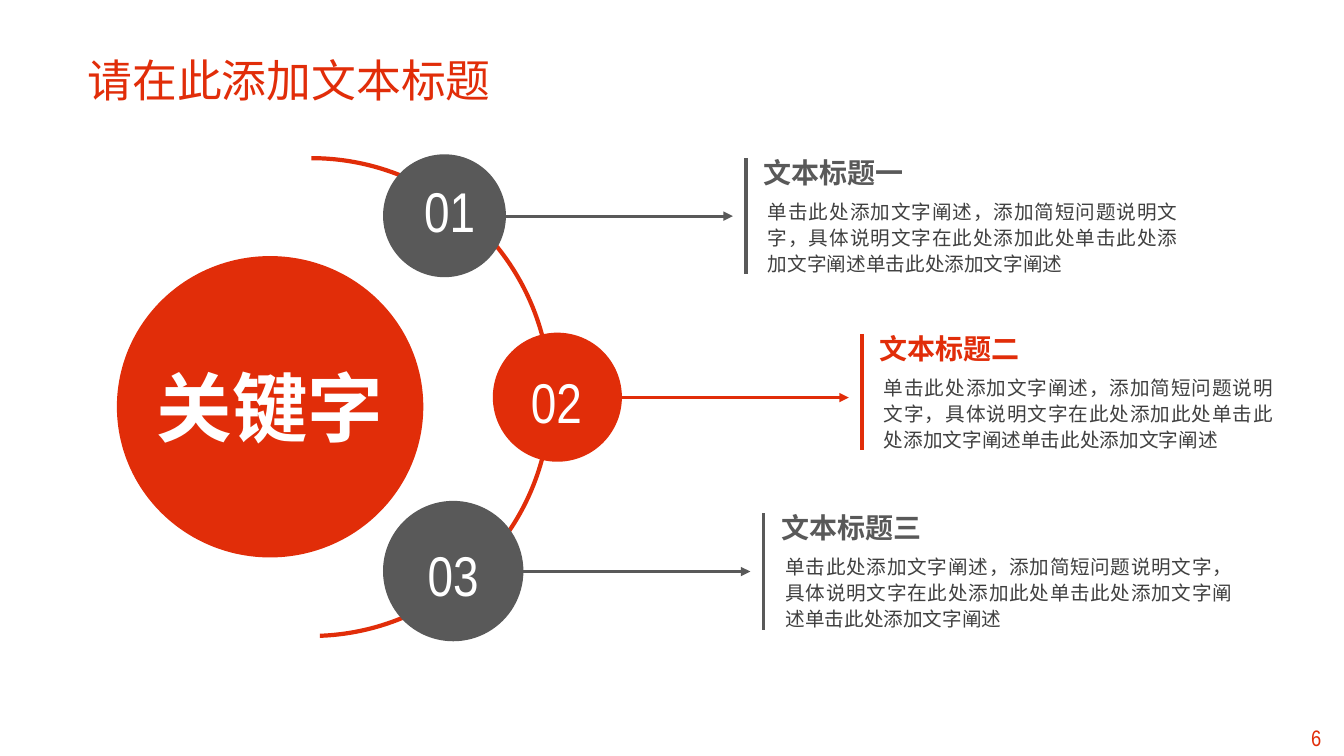
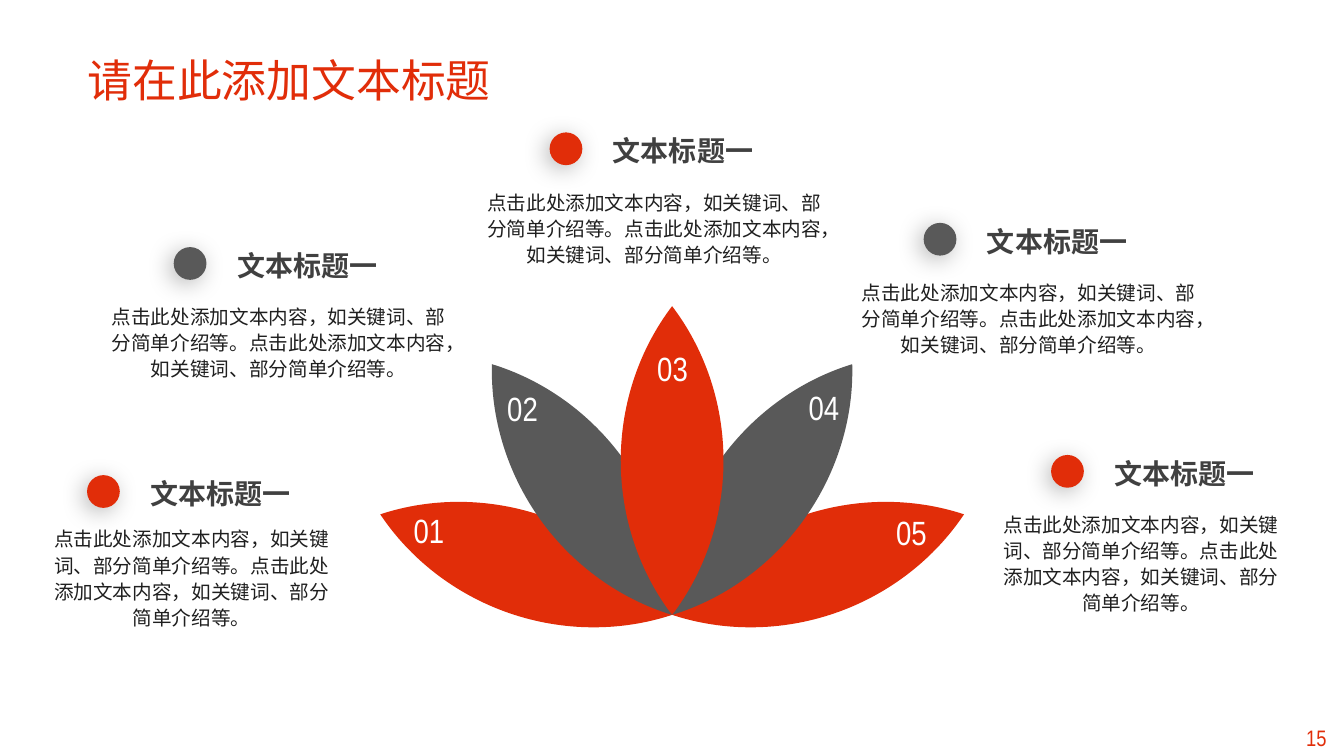
from math import cos, radians, sin

from lxml import etree
from pptx import Presentation
from pptx.dml.color import RGBColor
from pptx.enum.shapes import MSO_CONNECTOR, MSO_SHAPE
from pptx.enum.text import PP_ALIGN
from pptx.oxml.ns import qn
from pptx.util import Pt

RED = RGBColor(0xE1, 0x2D, 0x09)
GRAY = RGBColor(0x59, 0x59, 0x59)
DARK = RGBColor(0x40, 0x40, 0x40)
INK = RGBColor(0x1F, 0x1F, 0x1F)
WHITE = RGBColor(0xFF, 0xFF, 0xFF)
CJK = "Noto Sans CJK SC"
NARROW = "Arial Narrow"
LEFT, CENTER, JUSTIFY = PP_ALIGN.LEFT, PP_ALIGN.CENTER, PP_ALIGN.JUSTIFY
ELLIPSE, ARC = MSO_SHAPE.OVAL, MSO_SHAPE.ARC
STRAIGHT = MSO_CONNECTOR.STRAIGHT

TITLE = "请在此添加文本标题"
STEP_TEXT = "单击此处添加文字阐述，添加简短问题说明文字，具体说明文字在此处添加此处单击此处添加文字阐述单击此处添加文字阐述"
PETAL_TEXT = "点击此处添加文本内容，如关键词、部分简单介绍等。点击此处添加文本内容，如关键词、部分简单介绍等。"

STEPS = [
    ("01", "文本标题一", GRAY, (273.6, 110.2, 87.8), (295.9, 122.4), 113, 306.7),
    ("02", "文本标题二", RED, (352, 237.6, 92.2), (372.2, 258.8), 238.5, 292.3),
    ("03", "文本标题三", GRAY, (273.6, 357.8, 100.3), (298.4, 382.3), 366.7, 333.4),
]
PETALS = [
    ("05", RED, 71, (651, 380.2)),
    ("04", GRAY, 35.7, (588.6, 290.9)),
    ("01", RED, -71, (306.4, 378.7)),
    ("02", GRAY, -35.7, (373.3, 291.8)),
    ("03", RED, 0, (480.4, 262.8)),
]
NOTES = [
    (RED, 62.2, 339.4, -27.5, 35.4, 204.5),
    (GRAY, 124.1, 176.5, -50, 39.4, 250),
    (RED, 392.6, 94.6, -50.3, 39.8, 250),
    (GRAY, 659.8, 159.2, -50, 39.4, 250),
    (RED, 750.8, 325, -34.4, 39.3, 197.3),
]


class Deck:
    """Holds the shared style and the current slide."""

    def __init__(self):
        self.deck = Presentation()
        self.deck.slide_width, self.deck.slide_height = Pt(960), Pt(540)
        self.page = None

    def start(self, title, number):
        self.page = self.deck.slides.add_slide(self.deck.slide_layouts[6])
        self.text(number, 920.4, 513.7, 39.6, 26.3, 16, RED, NARROW, align=CENTER)
        self.text(title, 55.4, 33.8, 368, 46, 32, RED)

    def text(self, words, left, top, width, height, size, color, font=CJK,
             bold=False, align=LEFT, spacing=None, inset=True):
        box = self.page.shapes.add_textbox(Pt(left), Pt(top), Pt(width), Pt(height))
        frame = box.text_frame
        frame.word_wrap = True
        if not inset:
            frame.margin_left = frame.margin_right = 0
            frame.margin_top = frame.margin_bottom = 0
        para = frame.paragraphs[0]
        para.add_run().text = words
        para.alignment = align
        if spacing:
            para.line_spacing = spacing
        para.font.size, para.font.bold, para.font.name = Pt(size), bold, font
        para.font.color.rgb = color
        properties = para._p.pPr.find(qn("a:defRPr"))
        etree.SubElement(properties, qn("a:ea"), typeface=CJK)

    def paint(self, shape, color):
        shape.shadow.inherit = False
        shape.fill.solid()
        shape.fill.fore_color.rgb = color
        shape.line.fill.background()

    def ellipse(self, left, top, width, height, color, shadow=False):
        shape = self.page.shapes.add_shape(ELLIPSE, Pt(left), Pt(top), Pt(width), Pt(height))
        self.paint(shape, color)
        if shadow:
            effects = shape._element.spPr.find(qn("a:effectLst"))
            outer = etree.SubElement(effects, qn("a:outerShdw"), blurRad=str(Pt(17)),
                                     dist=str(Pt(4)), dir="8100000")
            tint = etree.SubElement(outer, qn("a:srgbClr"), val="000000")
            etree.SubElement(tint, qn("a:alpha"), val="27000")

    def arc(self, left, top, size, color):
        shape = self.page.shapes.add_shape(ARC, Pt(left), Pt(top), Pt(size), Pt(size))
        shape.adjustments[0], shape.adjustments[1] = 162, 52.77
        shape.shadow.inherit = False
        shape.fill.background()
        shape.line.color.rgb = color
        shape.line.width = Pt(3)

    def line(self, x1, y1, x2, y2, color, arrow=False):
        line = self.page.shapes.add_connector(STRAIGHT, Pt(x1), Pt(y1), Pt(x2), Pt(y2))
        line.line.color.rgb = color
        line.line.width = Pt(2.25)
        properties = line._element.spPr
        if arrow:
            etree.SubElement(properties.find(qn("a:ln")), qn("a:tailEnd"), type="triangle")
        etree.SubElement(properties, qn("a:effectLst"))

    def petal(self, angle, color):
        base_x, base_y, length = 480.1, 439.2, 220.5
        lower = [(0, 0), (23, 30.2), (36.7, 69), (36.7, length / 2)]
        side = lower + [(x, length - y) for x, y in reversed(lower[:-1])]
        outline = side + [(-x, y) for x, y in reversed(side[:-1])]
        turn = radians(angle)
        points = [(Pt(base_x + x * cos(turn) + y * sin(turn)),
                   Pt(base_y + x * sin(turn) - y * cos(turn))) for x, y in outline]
        builder = self.page.shapes.build_freeform(*points[0])
        builder.add_line_segments(points[1:], close=True)
        shape = builder.convert_to_shape()
        self.paint(shape, color)
        segments = list(shape._element.iter(qn("a:lnTo")))
        for first in range(0, 12, 3):
            curve = etree.Element(qn("a:cubicBezTo"))
            segments[first].addprevious(curve)
            for segment in segments[first:first + 3]:
                curve.append(segment[0])
                segment.getparent().remove(segment)

    def step(self, label, heading, color, circle, number, bar_top, body_width):
        left, top, size = circle
        right, middle = left + size, top + size / 2 + 0.3
        bar = right + 171.5
        self.line(right, middle, bar - 9.4, middle, color, arrow=True)
        self.line(bar, bar_top, bar, bar_top + 83, color)
        self.ellipse(left, top, size, size, color)
        self.text(label, *number, 58, 55.4, 40, WHITE, NARROW)
        self.text(heading, bar + 5.4, bar_top - 5.3, 190, 31.7, 20, color, bold=True)
        self.text(STEP_TEXT, bar + 8.6, bar_top + 24.7, body_width, 63.4, 14, DARK,
                  align=JUSTIFY, spacing=1.1)

    def note(self, color, left, top, body_dx, body_dy, body_width):
        self.ellipse(left, top, 23.4, 23.4, color, shadow=True)
        self.text(PETAL_TEXT, left + body_dx, top + body_dy, body_width, 58, 14, INK,
                  align=CENTER, spacing=Pt(18.7), inset=False)
        self.text("文本标题一", left + 45.2, top + 0.9, 110, 24.5, 20, DARK,
                  "Calibri", bold=True, inset=False)


def main():
    deck = Deck()
    deck.start(TITLE, "6")
    deck.ellipse(83.5, 182.9, 218.9, 215.3, RED)
    deck.text("关键字", 98.7, 254.2, 188.6, 72.7, 54, WHITE, bold=True, align=CENTER)
    deck.arc(51.8, 113, 341.3, RED)
    for step in STEPS:
        deck.step(*step)

    deck.start(TITLE, "15")
    for label, color, angle, (x, y) in PETALS:
        deck.petal(angle, color)
        deck.text(label, x - 15, y - 14.4, 30, 28.8, 24, WHITE, NARROW,
                  align=CENTER, inset=False)
    for note in NOTES:
        deck.note(*note)
    deck.deck.save("out.pptx")


if __name__ == "__main__":
    main()
